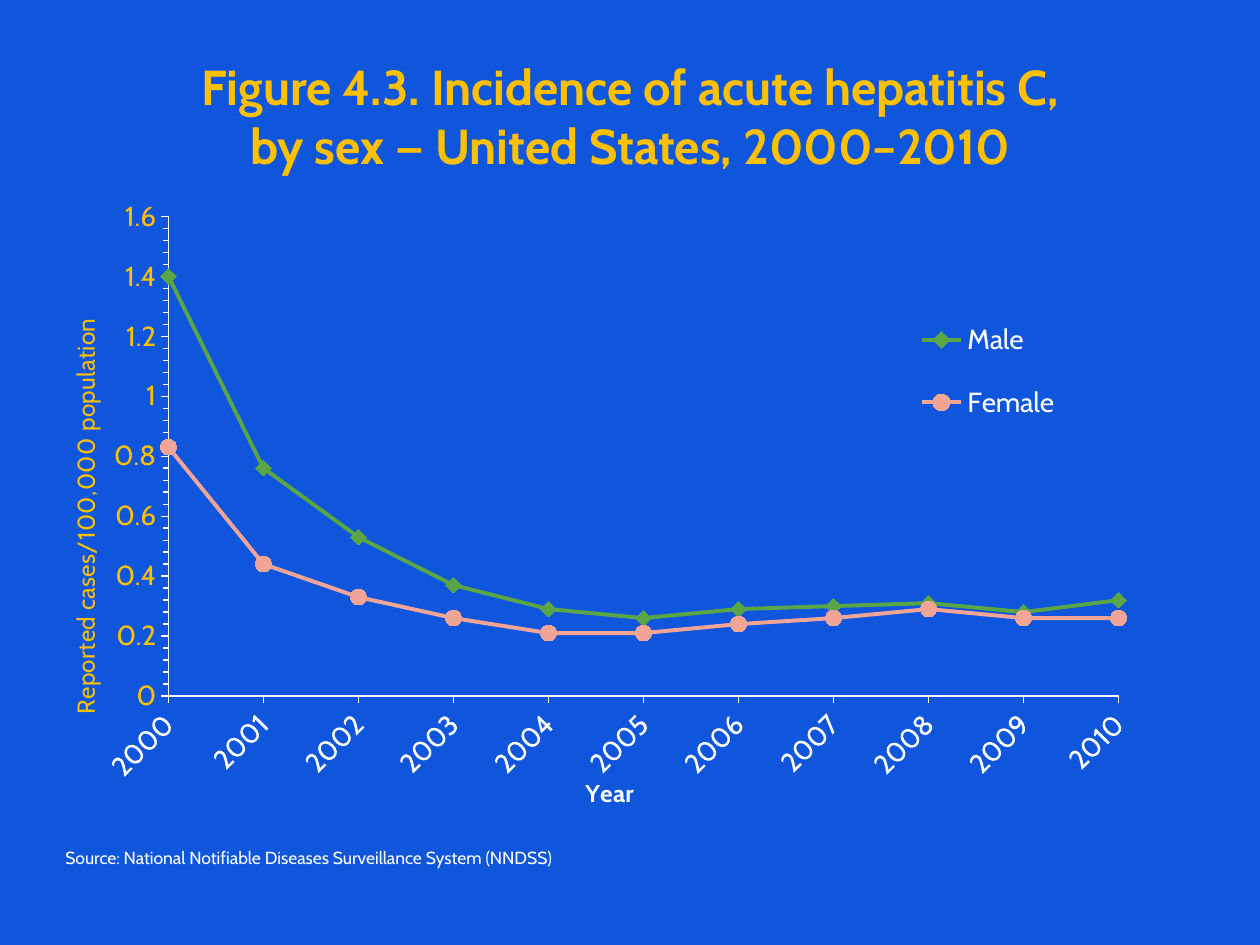
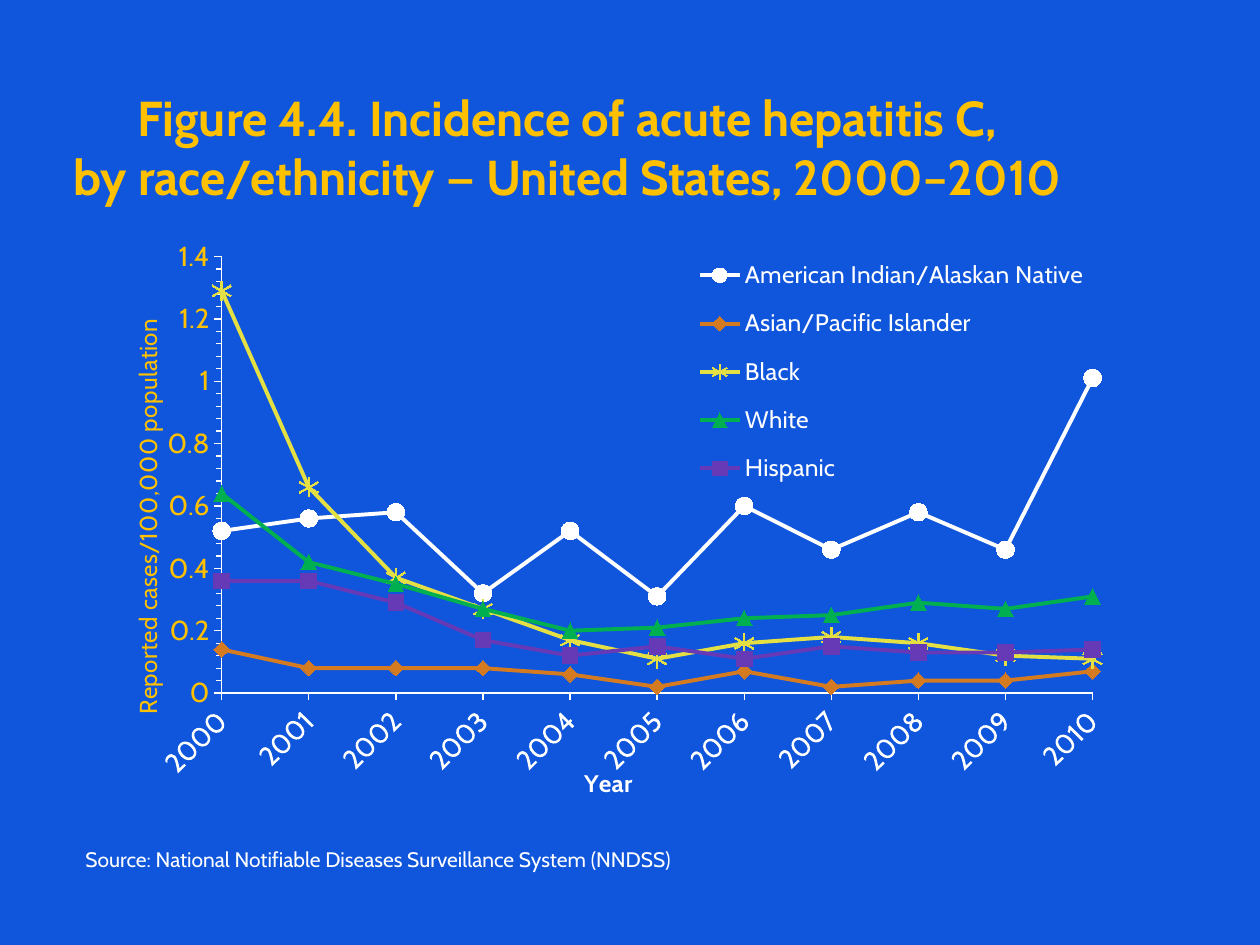
"""Build two slides charting the incidence of acute hepatitis C."""
from lxml.etree import SubElement
from pptx import Presentation
from pptx.chart.data import CategoryChartData
from pptx.dml.color import RGBColor
from pptx.enum.chart import XL_CHART_TYPE, XL_LEGEND_POSITION, XL_MARKER_STYLE, XL_TICK_MARK
from pptx.enum.text import MSO_ANCHOR, MSO_AUTO_SIZE, PP_ALIGN
from pptx.oxml.ns import qn
from pptx.util import Inches, Pt

BLUE = RGBColor(0x0F, 0x56, 0xDC)
GOLD = RGBColor(0xFF, 0xC0, 0x00)
WHITE = RGBColor(0xFF, 0xFF, 0xFF)
LEAF = RGBColor(0x5A, 0xA5, 0x45)
SALMON = RGBColor(0xF2, 0xA5, 0x96)
ORANGE = RGBColor(0xD4, 0x7B, 0x22)
YELLOW = RGBColor(0xE4, 0xE0, 0x44)
GREEN = RGBColor(0x00, 0xB0, 0x50)
PURPLE = RGBColor(0x66, 0x39, 0xB7)
FONT = "Cabin"

CIRCLE, DIAMOND, STAR, TRIANGLE, SQUARE = (
    XL_MARKER_STYLE.CIRCLE, XL_MARKER_STYLE.DIAMOND, XL_MARKER_STYLE.STAR,
    XL_MARKER_STYLE.TRIANGLE, XL_MARKER_STYLE.SQUARE)

YEARS = [str(year) for year in range(2000, 2011)]
SOURCE = "Source: National Notifiable Diseases Surveillance System (NNDSS)"
PLOT_LAYOUT = (0.105, 0.046, 0.864, 0.772)

FIGURES = [
    {
        "title": "Figure 4.3. Incidence of acute hepatitis C,\vby sex — United States, 2000–2010",
        "title_box": (0.5, 0.33, 9, 1.17),
        "chart_box": (0.42, 1.49, 8.73, 4.99),
        "source_box": (0.42, 6.67, 7.83, 0.27),
        "source_size": 10,
        "maximum": 1.6,
        "legend_size": 16,
        "legend_layout": (0.78, 0.17, 0.14, 0.25),
        "year_layout": (0.48, 0.94),
        "rate_layout": (0.01, 0.21),
        "series": [
            ("Male", LEAF, DIAMOND, 9,
             [1.4, 0.76, 0.53, 0.37, 0.29, 0.26, 0.29, 0.3, 0.31, 0.28, 0.32]),
            ("Female", SALMON, CIRCLE, 9,
             [0.83, 0.44, 0.33, 0.26, 0.21, 0.21, 0.24, 0.26, 0.29, 0.26, 0.26]),
        ],
    },
    {
        "title": "Figure 4.4. Incidence of acute hepatitis C,\v"
                 "by race/ethnicity — United States, 2000–2010",
        "title_box": (0, 0.58, 9, 1.17),
        "chart_box": (0.92, 1.83, 8, 4.57),
        "source_box": (0.58, 6.67, 8.5, 0.3),
        "source_size": 12,
        "maximum": 1.4,
        "legend_size": 14,
        "legend_layout": (0.57, 0.02, 0.4, 0.46),
        "year_layout": (0.46, 0.94),
        "rate_layout": (0.01, 0.16),
        "series": [
            ("American Indian/Alaskan Native", WHITE, CIRCLE, 10,
             [0.52, 0.56, 0.58, 0.32, 0.52, 0.31, 0.6, 0.46, 0.58, 0.46, 1.01]),
            ("Asian/Pacific Islander", ORANGE, DIAMOND, 9,
             [0.14, 0.08, 0.08, 0.08, 0.06, 0.02, 0.07, 0.02, 0.04, 0.04, 0.07]),
            ("Black", YELLOW, STAR, 11,
             [1.29, 0.66, 0.37, 0.27, 0.17, 0.11, 0.16, 0.18, 0.16, 0.12, 0.11]),
            ("White", GREEN, TRIANGLE, 9,
             [0.64, 0.42, 0.35, 0.27, 0.2, 0.21, 0.24, 0.25, 0.29, 0.27, 0.31]),
            ("Hispanic", PURPLE, SQUARE, 9,
             [0.36, 0.36, 0.29, 0.17, 0.12, 0.15, 0.11, 0.15, 0.13, 0.13, 0.14]),
        ],
    },
]


def set_attributes(target, values):
    for name, value in values.items():
        setattr(target, name, value)


def style_font(font, size, color, bold=False):
    set_attributes(font, {"name": FONT, "size": Pt(size), "bold": bold})
    font.color.rgb = color


def add_text(slide, box, text, size, color, bold=False, align=PP_ALIGN.LEFT, **frame_values):
    frame = slide.shapes.add_textbox(*map(Inches, box)).text_frame
    set_attributes(frame, {"word_wrap": True, **frame_values})
    paragraph = frame.paragraphs[0]
    paragraph.text = text
    paragraph.alignment = align
    for run in paragraph.runs:
        style_font(run.font, size, color, bold)


def set_layout(element, fractions, inner=False):
    for existing in element.findall(qn("c:layout")):
        element.remove(existing)
    layout = SubElement(element, qn("c:layout"))
    overlay = element.find(qn("c:overlay"))
    if overlay is not None:
        overlay.addprevious(layout)
    else:
        element.insert(0, layout)
    manual = SubElement(layout, qn("c:manualLayout"))
    if inner:
        SubElement(manual, qn("c:layoutTarget"), val="inner")
    names = ("x", "y", "w", "h")[:len(fractions)]
    for name in names[:2]:
        SubElement(manual, qn(f"c:{name}Mode"), val="edge")
    for name, fraction in zip(names, fractions):
        SubElement(manual, qn(f"c:{name}"), val=str(fraction))


def style_axis(axis, title, color, bold, rotation, layout):
    set_attributes(axis, {"has_major_gridlines": False, "has_minor_gridlines": False,
                          "major_tick_mark": XL_TICK_MARK.OUTSIDE})
    axis.format.line.color.rgb = WHITE
    axis.format.line.width = Pt(0.75)
    style_font(axis.tick_labels.font, 16, color)
    frame = axis.axis_title.text_frame
    frame.text = title
    style_font(frame.paragraphs[0].runs[0].font, 14, color, bold)
    title_element = axis.axis_title.element if hasattr(axis.axis_title, "element") else None
    if title_element is None:
        title_element = axis.axis_title.format.element
    title_element.xpath(".//a:bodyPr")[0].set("rot", str(rotation * 60000))
    set_layout(title_element, layout)


def add_incidence_chart(slide, figure):
    data = CategoryChartData()
    data.categories = YEARS
    for name, *_, values in figure["series"]:
        data.add_series(name, values)
    chart = slide.shapes.add_chart(
        XL_CHART_TYPE.LINE_MARKERS, *map(Inches, figure["chart_box"]), data).chart
    style_font(chart.font, 18, GOLD)
    set_attributes(chart, {"has_title": False, "has_legend": True})
    set_attributes(chart.legend, {"position": XL_LEGEND_POSITION.RIGHT,
                                  "include_in_layout": False})
    style_font(chart.legend.font, figure["legend_size"], WHITE)

    style_axis(chart.category_axis, "Year", WHITE, True, 0, figure["year_layout"])
    style_axis(chart.value_axis, "Reported cases/100,000 population", GOLD, False, -90,
               figure["rate_layout"])
    set_attributes(chart.value_axis, {
        "minimum_scale": 0, "maximum_scale": figure["maximum"], "major_unit": 0.2,
        "minor_unit": 0.04, "minor_tick_mark": XL_TICK_MARK.OUTSIDE})

    chart_space = chart.element
    chart_space.xpath(".//c:catAx/c:txPr/a:bodyPr")[0].set("rot", str(-45 * 60000))
    between = chart_space.xpath(".//c:valAx/c:crossBetween")
    if between:
        between[0].set("val", "midCat")
    else:
        crossing = SubElement(chart_space.xpath(".//c:valAx")[0], qn("c:crossBetween"), val="midCat")
        chart_space.xpath(".//c:valAx/c:majorUnit")[0].addprevious(crossing)
    set_layout(chart_space.xpath(".//c:plotArea")[0], PLOT_LAYOUT, inner=True)
    set_layout(chart_space.xpath(".//c:legend")[0], figure["legend_layout"])

    plot = chart.plots[0]
    plot.vary_by_categories = False
    for series, (_, color, marker, size, _) in zip(plot.series, figure["series"]):
        series.smooth = False
        series.format.line.color.rgb = color
        series.format.line.width = Pt(2.25)
        set_attributes(series.marker, {"style": marker, "size": size})
        series.marker.format.fill.solid()
        series.marker.format.fill.fore_color.rgb = color
        series.marker.format.line.color.rgb = color


def main():
    presentation = Presentation()
    set_attributes(presentation, {"slide_width": Inches(10), "slide_height": Inches(7.5)})
    for figure in FIGURES:
        slide = presentation.slides.add_slide(presentation.slide_layouts[6])
        slide.background.fill.solid()
        slide.background.fill.fore_color.rgb = BLUE
        add_text(slide, figure["title_box"], figure["title"], 28, GOLD, True,
                 PP_ALIGN.CENTER, vertical_anchor=MSO_ANCHOR.MIDDLE)
        add_incidence_chart(slide, figure)
        add_text(slide, figure["source_box"], SOURCE, figure["source_size"], WHITE,
                 auto_size=MSO_AUTO_SIZE.SHAPE_TO_FIT_TEXT)
    presentation.save("out.pptx")


if __name__ == "__main__":
    main()
